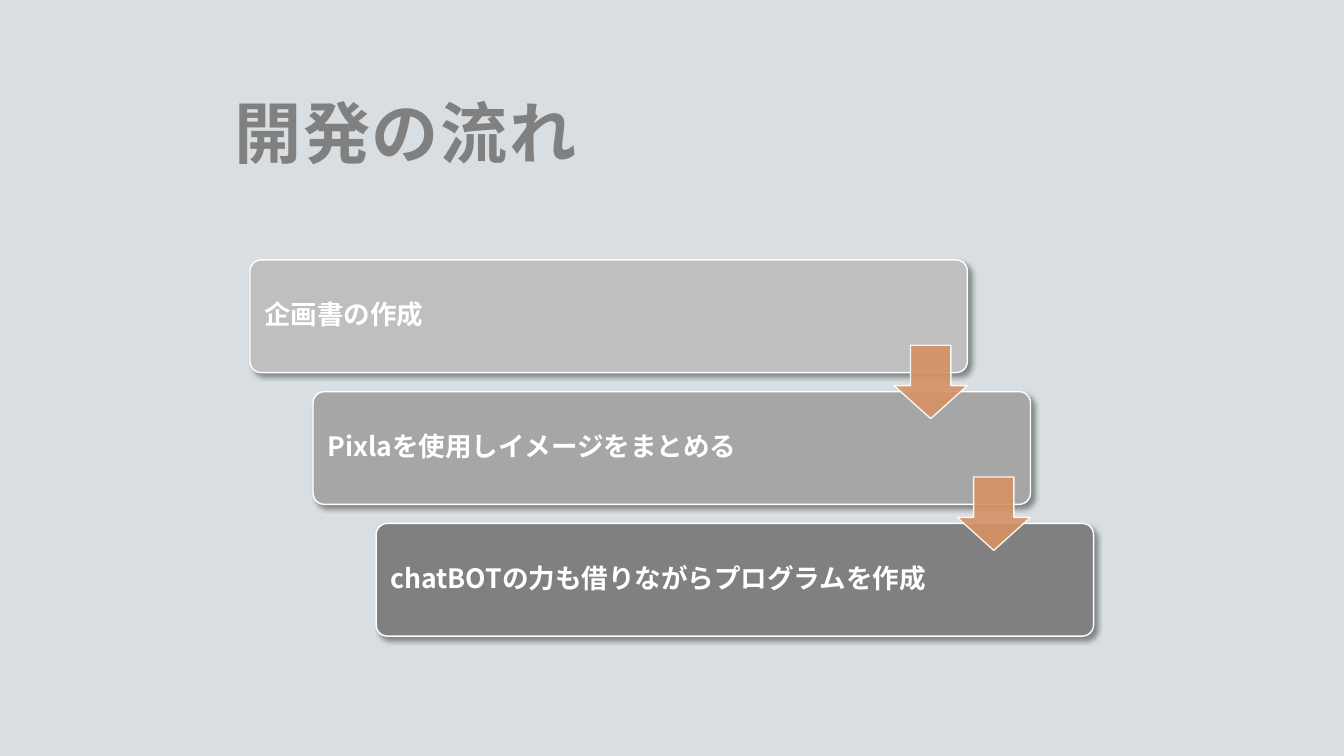
import pptx
import pptx.util
import pptx.dml.color
import pptx.enum.shapes
import pptx.enum.text
import pptx.oxml
import pptx.oxml.ns
import lxml.etree
from dataclasses import dataclass

Cm = pptx.util.Cm
Pt = pptx.util.Pt
Color = pptx.dml.color.RGBColor.from_string
Shapes = pptx.enum.shapes.MSO_SHAPE
qn = pptx.oxml.ns.qn


@dataclass
class Theme:
    font: str = "Noto Sans CJK JP"
    background: str = "D8DEE1"
    title: str = "808080"
    white: str = "FFFFFF"
    arrow: str = "D59164"
    title_size: int = 48
    step_size: int = 19


theme = Theme()
SHADOW = (
    '<a:effectLst %s><a:outerShdw blurRad="50800" dist="38100" dir="2700000" algn="tl" rotWithShape="0">'
    '<a:srgbClr val="000000"><a:alpha val="40000"/></a:srgbClr></a:outerShdw></a:effectLst>'
) % pptx.oxml.ns.nsdecls("a")


def write(shape, text, size, color, inset):
    frame = shape.text_frame
    frame.text = text
    frame.word_wrap = True
    frame.auto_size = pptx.enum.text.MSO_AUTO_SIZE.NONE
    frame.vertical_anchor = pptx.enum.text.MSO_ANCHOR.MIDDLE
    frame.margin_left = frame.margin_right = Cm(inset)
    para = frame.paragraphs[0]
    para.alignment = pptx.enum.text.PP_ALIGN.LEFT
    para.font.name = theme.font
    para.font.size = Pt(size)
    para.font.bold = True
    para.font.color.rgb = Color(color)
    properties = para._p.pPr.find(qn("a:defRPr"))
    east_asian = lxml.etree.Element(qn("a:ea"), typeface=theme.font)
    properties.find(qn("a:latin")).addnext(east_asian)
    return para, properties


def add_block(kind, left, top, width, height, fill, adjustments):
    block = slide.shapes.add_shape(kind, Cm(left), Cm(top), Cm(width), Cm(height))
    block.shadow.inherit = False
    block.fill.solid()
    block.fill.fore_color.rgb = Color(fill)
    block.line.color.rgb = Color(theme.white)
    block.line.width = Pt(1)
    for index, value in enumerate(adjustments):
        block.adjustments[index] = value
    return block


deck = pptx.Presentation()
deck.slide_width = Cm(33.87)
deck.slide_height = Cm(19.05)
slide = deck.slides.add_slide(deck.slide_layouts[5])
slide.background.fill.solid()
slide.background.fill.fore_color.rgb = Color(theme.background)

title = slide.shapes.title
title.left, title.top, title.width, title.height = Cm(5.6), Cm(1.07), Cm(10.29), Cm(4.45)
para, properties = write(title, "開発の流れ", theme.title_size, theme.title, 0.3)
title.text_frame.margin_top = Cm(0.3)
title.text_frame.margin_bottom = Cm(0.25)
properties.set("spc", "130")

steps = [
    ("企画書の作成", "BFBFBF"),
    ("Pixlaを使用しイメージをまとめる", "A6A6A6"),
    ("chatBOTの力も借りながらプログラムを作成", "808080"),
]
first_left, first_top = 6.3, 6.55
shift_right, shift_down = 1.59, 3.32
step_width, step_height = 18.08, 2.84
arrow_size, arrow_drop = 1.85, 2.15

for index, (text, fill) in enumerate(steps):
    left = first_left + index * shift_right
    top = first_top + index * shift_down
    step = add_block(Shapes.ROUNDED_RECTANGLE, left, top, step_width, step_height, fill, [0.1])
    effects = step._element.spPr.find(qn("a:effectLst"))
    effects.getparent().replace(effects, pptx.oxml.parse_xml(SHADOW))
    para, properties = write(step, text, theme.step_size, theme.white, 0.28)
    para.line_spacing = 0.9

for index in range(len(steps) - 1):
    left = first_left + index * shift_right + step_width - arrow_size
    top = first_top + index * shift_down + arrow_drop
    arrow = add_block(Shapes.DOWN_ARROW, left, top, arrow_size, arrow_size, theme.arrow, [0.55, 0.45])
    for color in arrow._element.spPr.iter(qn("a:srgbClr")):
        lxml.etree.SubElement(color, qn("a:alpha"), val="90000")

deck.save("out.pptx")
